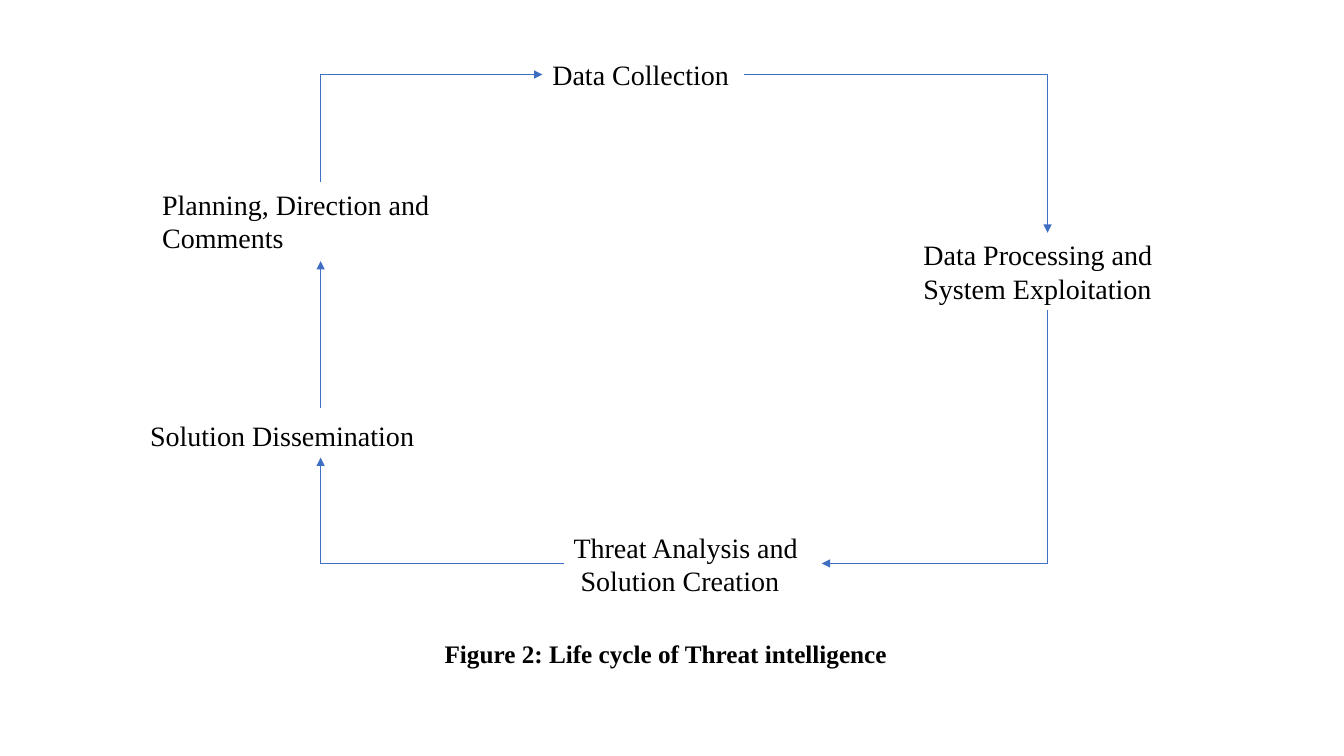
from pptx import Presentation
from pptx.dml.color import RGBColor
from pptx.enum.shapes import MSO_CONNECTOR as Link
from pptx.enum.text import MSO_ANCHOR as Anchor, MSO_AUTO_SIZE as Fit, PP_ALIGN as Align
from pptx.oxml.ns import qn
from pptx.util import Inches, Pt
from lxml.etree import SubElement as sub

BLACK = RGBColor(0, 0, 0)
BLUE = RGBColor(0x3F, 0x6F, 0xC3)

FONT = {"name": "Times New Roman", "size": Pt(20), "bold": False}
BOLD = {"name": "Times New Roman", "size": Pt(18), "bold": True}
FRAME = {
    "word_wrap": True,
    "auto_size": Fit.SHAPE_TO_FIT_TEXT,
    "vertical_anchor": Anchor.TOP,
    "margin_left": Inches(0.1),
    "margin_right": Inches(0.1),
    "margin_top": Inches(0.05),
    "margin_bottom": Inches(0.05),
}

LEFT, RIGHT = 3.18, 10.39
TOP, BASE = 0.74, 5.59

STAGES = [
    ("Data Collection", (5.38, 0.52, 2, 0.44), 0),
    ("Data Processing and System Exploitation", (9.06, 2.31, 2.66, 0.77), 0),
    ("Threat Analysis and Solution Creation", (5.59, 5.21, 2.57, 0.77), 0.07),
    ("Solution Dissemination", (1.39, 4.1, 3.59, 0.44), 0),
    ("Planning, Direction and Comments", (1.51, 1.81, 3.35, 0.77), 0),
]


def apply(item, style):
    for key, value in style.items():
        setattr(item, key, value)


def write(shape, text, font, hang=0):
    frame = shape.text_frame
    frame.text = text
    apply(frame, FRAME)
    para = frame.paragraphs[0]
    apply(para, {"alignment": Align.LEFT, "line_spacing": 1.0})
    if hang:
        props = para._p.get_or_add_pPr()
        props.set("marL", str(Inches(hang)))
        props.set("indent", str(-Inches(hang)))
    run = para.runs[0]
    apply(run.font, font)
    run.font.color.rgb = BLACK


def caption(slide, text, box):
    title = slide.shapes.title
    apply(title, dict(zip(("left", "top", "width", "height"), map(Inches, box))))
    write(title, text, BOLD)


def label(slide, text, box, hang):
    write(slide.shapes.add_textbox(*map(Inches, box)), text, FONT, hang)


def arrow(slide, kind, start, end):
    line = slide.shapes.add_connector(kind, *map(Inches, start + end))
    line.line.color.rgb = BLUE
    line.line.width = Pt(0.75)
    props = line._element.spPr
    sub(props.find(qn("a:ln")), qn("a:tailEnd"), type="triangle")
    sub(props, qn("a:effectLst"))
    return props


def bend(slide, start, end, upright=False):
    if upright:
        (x1, y1), (x2, y2) = start, end
        midx, midy = (x1 + x2) / 2, (y1 + y2) / 2
        dx, dy = (y2 - y1) / 2, (x1 - x2) / 2
        start, end = (midx - dx, midy - dy), (midx + dx, midy + dy)
    props = arrow(slide, Link.ELBOW, start, end)
    props.find(qn("a:prstGeom")).set("prst", "bentConnector2")
    if upright:
        props.find(qn("a:xfrm")).set("rot", str(90 * 60000))


def main():
    deck = Presentation()
    deck.slide_width, deck.slide_height = Inches(13.33), Inches(7.5)
    slide = deck.slides.add_slide(deck.slide_layouts[5])
    caption(slide, "Figure 2: Life cycle of Threat intelligence", (4.31, 6.28, 4.72, 0.4))
    for text, box, hang in STAGES:
        label(slide, text, box, hang)
    arrow(slide, Link.STRAIGHT, (LEFT, 4.05), (LEFT, 2.59))
    bend(slide, (5.59, BASE), (LEFT, 4.54))
    bend(slide, (LEFT, 1.81), (5.38, TOP), upright=True)
    bend(slide, (7.38, TOP), (RIGHT, 2.31))
    bend(slide, (RIGHT, 3.08), (8.15, BASE), upright=True)
    deck.save("out.pptx")


if __name__ == "__main__":
    main()
